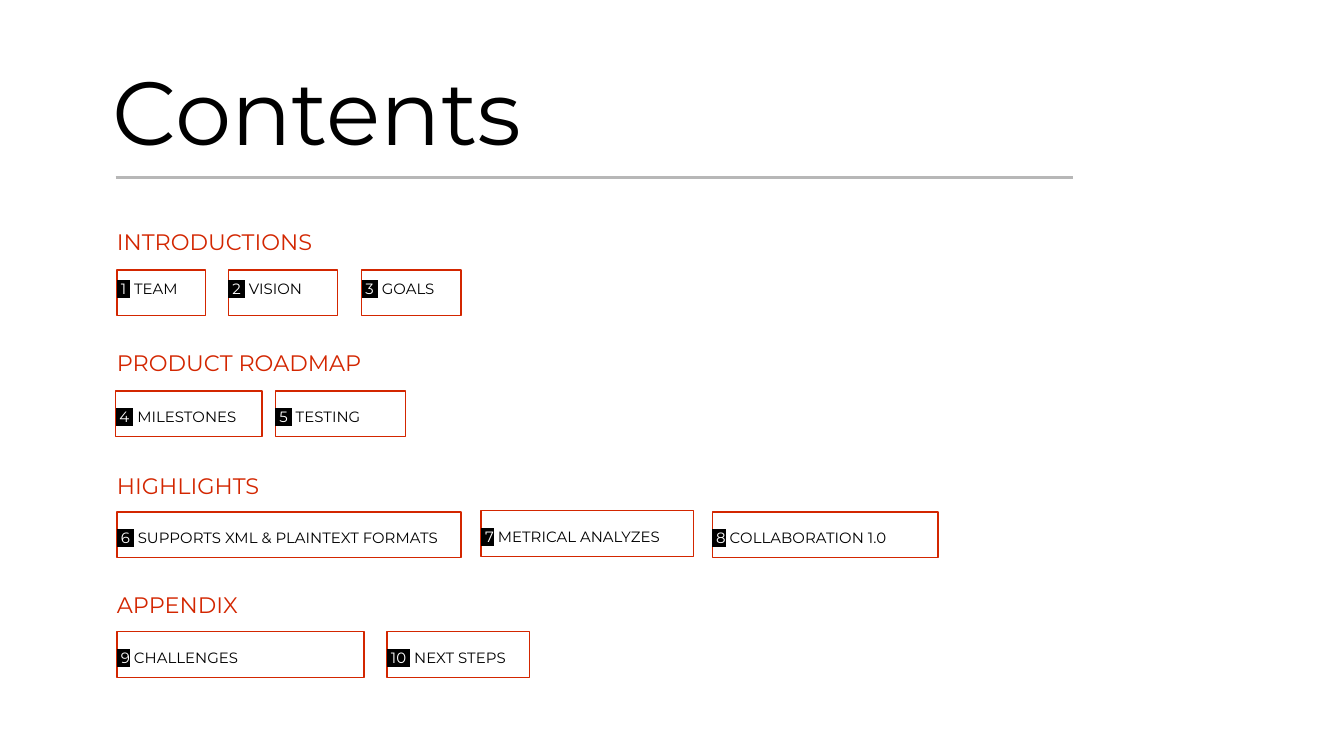
from lxml.etree import SubElement as Sub
from pptx import Presentation
from pptx.dml.color import RGBColor
from pptx.enum.shapes import MSO_CONNECTOR as Link, MSO_SHAPE as Shape
from pptx.enum.text import MSO_ANCHOR as Anchor, PP_ALIGN as Align
from pptx.oxml.ns import qn
from pptx.util import Inches, Pt

FONT = "Montserrat"
RED, BLACK, WHITE, GRAY = "D32600", "000000", "FFFFFF", "B7B7B7"
LEFT = 0.87

GROUPS = [
    ("INTRODUCTIONS", 1.7, 0.07, 1, [
        (LEFT, 2.01, 0.66, " 1 ", " TEAM"),
        (1.7, 2.01, 0.81, " 2 ", " VISION"),
        (2.69, 2.01, 0.74, " 3 ", " GOALS")]),
    ("PRODUCT ROADMAP", 2.6, 0.09, 1.25, [
        (0.86, 2.91, 1.09, " 4 ", " MILESTONES"),
        (2.05, 2.91, 0.97, " 5 ", " TESTING")]),
    ("HIGHLIGHTS", 3.51, 0.09, 1.25, [
        (LEFT, 3.81, 2.56, " 6 ", " SUPPORTS XML & PLAINTEXT FORMATS"),
        (3.58, 3.8, 1.58, " 7", " METRICAL ANALYZES"),
        (5.3, 3.81, 1.68, " 8", " COLLABORATION 1.0")]),
    ("APPENDIX", 4.4, 0.09, 1.25, [
        (LEFT, 4.7, 1.84, " 9", " CHALLENGES"),
        (2.88, 4.7, 1.06, " 10 ", " NEXT STEPS")]),
]


def color(code):
    return RGBColor.from_string(code)


def frame(shape, size, left, top):
    text = shape.text_frame
    text.word_wrap = True
    text.vertical_anchor = Anchor.TOP
    text.margin_left, text.margin_top = Inches(left), Inches(top)
    text.margin_right = text.margin_bottom = Inches(0.1)
    para = text.paragraphs[0]
    para.alignment = Align.LEFT
    para.font.size, para.font.name = Pt(size), FONT
    return para


def add_run(para, words, ink):
    run = para.add_run()
    run.text = words
    run.font.color.rgb = color(ink)
    return run


def add_text(slide, box, words, size, ink, left, top):
    shape = slide.shapes.add_textbox(*map(Inches, box))
    add_run(frame(shape, size, left, top), words, ink)


def add_item(slide, box, number, label, top, space):
    shape = slide.shapes.add_shape(Shape.RECTANGLE, *map(Inches, box))
    shape.shadow.inherit = False
    shape.fill.background()
    shape.line.color.rgb = color(RED)
    shape.line.width = Pt(0.75)
    para = frame(shape, 8, 0, top)
    para.line_spacing = space
    run = add_run(para, number, WHITE)
    mark = Sub(run.font._element, qn("a:highlight"))
    Sub(mark, qn("a:srgbClr"), val=BLACK)
    add_run(para, label, BLACK)


def add_group(slide, title, y, top, space, items):
    add_text(slide, (LEFT, y, 3.28, 0.3), title, 12, RED, 0, 0)
    for x, row, width, number, label in items:
        add_item(slide, (x, row, width, 0.34), number, label, top, space)


def add_head(slide, x, y, width):
    add_text(slide, (x, y, width, 1.14), "Contents", 48, BLACK, 0.1, 0.1)
    ends = (x + 0.12, y + 1, x + width + 0.02, y + 1)
    rule = slide.shapes.add_connector(Link.STRAIGHT, *map(Inches, ends))
    rule.line.color.rgb = color(GRAY)
    rule.line.width = Pt(1.5)
    Sub(rule._element.spPr, qn("a:effectLst"))


def main():
    deck = Presentation()
    deck.slide_width = Inches(10)
    deck.slide_height = deck.slide_width * 9 // 16
    slide = deck.slides.add_slide(deck.slide_layouts[6])
    add_head(slide, 0.74, 0.32, 7.22)
    for group in GROUPS:
        add_group(slide, *group)
    deck.save("out.pptx")


if __name__ == "__main__":
    main()
